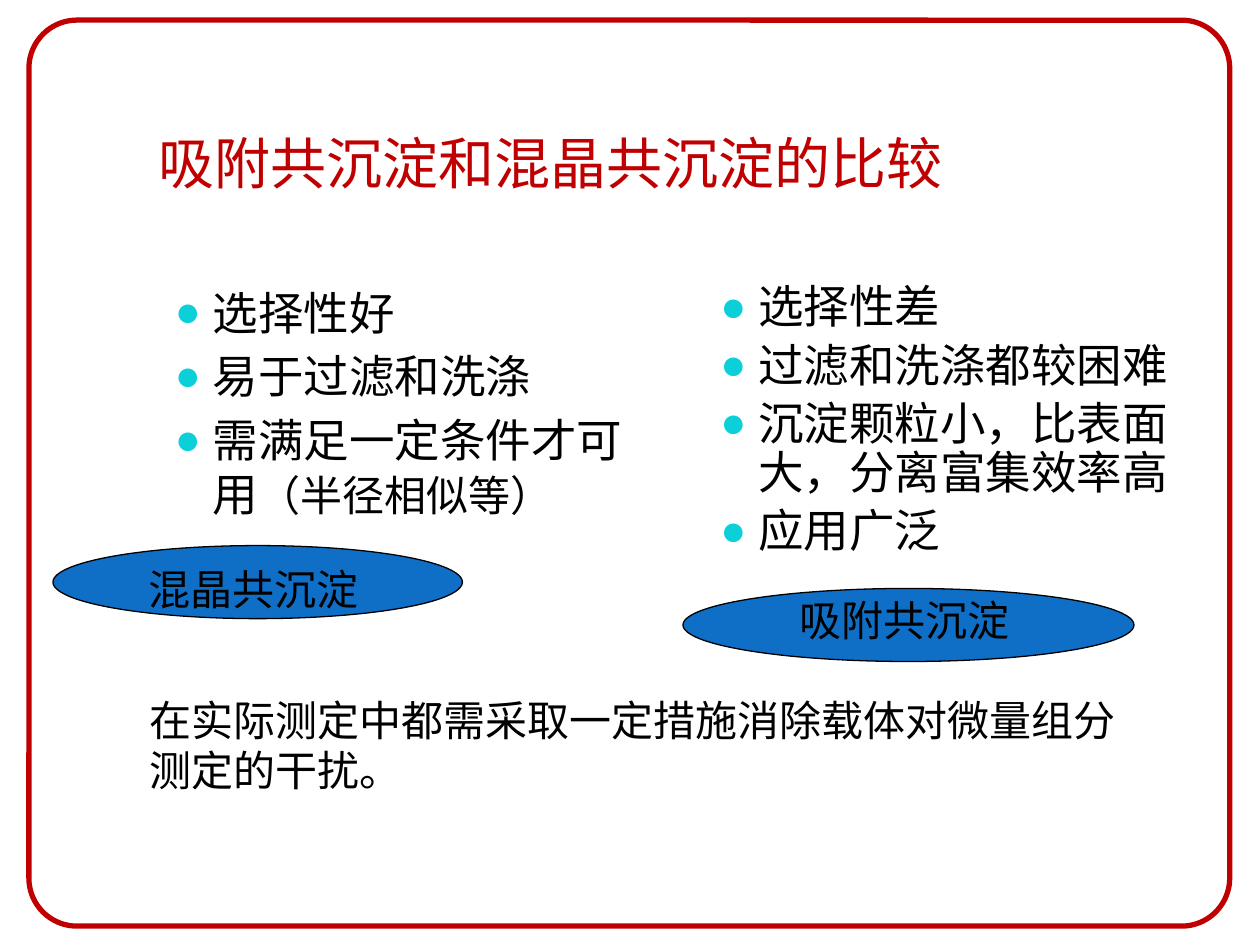
from typing import NamedTuple

from lxml.etree import SubElement
from pptx import Presentation
from pptx.dml.color import RGBColor
from pptx.enum.shapes import MSO_SHAPE as Preset
from pptx.enum.text import MSO_ANCHOR as Anchor, MSO_AUTO_SIZE as AutoSize, PP_ALIGN as Align
from pptx.oxml.ns import qn
from pptx.util import Inches, Pt

COLORS = {"red": "C00000", "black": "000000", "blue": "0F6FC6", "bullet": "0BD0D9"}


class Box(NamedTuple):
    left: float
    top: float
    width: float
    height: float

    def lengths(self) -> list:
        return [Inches(value) for value in self]


class Run(NamedTuple):
    text: str
    size: float


class Column(NamedTuple):
    box: Box
    items: list[list[Run]]
    line_spacing: float


class Method(NamedTuple):
    name: str
    ellipse: Box
    label: Box


COLUMNS = [
    Column(Box(1.29, 2.21, 4.01, 2.58), [
        [Run("选择性好", 26)],
        [Run("易于过滤和洗涤", 26)],
        [Run("需满足一定条件才可用", 26), Run("（半径相似等）", 24)],
    ], 1.0),
    Column(Box(5.62, 2.21, 4.17, 2.5), [
        [Run("选择性差", 26)],
        [Run("过滤和洗涤都较困难", 26)],
        [Run("沉淀颗粒小，比表面大，分离富集效率高", 26)],
        [Run("应用广泛", 26)],
    ], 0.9),
]
METHODS = [
    Method("混晶共沉淀", Box(0.42, 4.33, 3.25, 0.58), Box(1.08, 4.42, 2, 0.5)),
    Method("吸附共沉淀", Box(5.42, 4.67, 3.58, 0.58), Box(6.25, 4.67, 1.92, 0.5)),
]


def rgb(name: str) -> RGBColor:
    return RGBColor.from_string(COLORS[name])


def write(paragraph, text: str, *, size: float, font: str, color: str = "black") -> None:
    run = paragraph.add_run()
    run.text = text
    run.font.size = Pt(size)
    run.font.name = font
    run.font.color.rgb = rgb(color)


def add_bullet(paragraph) -> None:
    """Add a hanging bullet and keep punctuation inside the text box."""
    properties = paragraph._p.get_or_add_pPr()
    properties.set("marL", str(Inches(0.3)))
    properties.set("indent", str(-Inches(0.3)))
    properties.set("hangingPunct", "0")
    bullet_color = SubElement(properties, qn("a:buClr"))
    SubElement(bullet_color, qn("a:srgbClr"), val=COLORS["bullet"])
    SubElement(properties, qn("a:buSzPct"), val="95000")
    SubElement(properties, qn("a:buFont"), typeface="Arial")
    SubElement(properties, qn("a:buChar"), char="●")


def add_text_box(slide, box: Box, auto_size=AutoSize.SHAPE_TO_FIT_TEXT):
    frame = slide.shapes.add_textbox(*box.lengths()).text_frame
    frame.word_wrap = True
    frame.auto_size = auto_size
    return frame


def add_outlined(slide, preset, box: Box, *, line: str, width: float, fill: str | None = None):
    shape = slide.shapes.add_shape(preset, *box.lengths())
    shape.shadow.inherit = False
    if fill:
        shape.fill.solid()
        shape.fill.fore_color.rgb = rgb(fill)
    else:
        shape.fill.background()
    shape.line.color.rgb = rgb(line)
    shape.line.width = Pt(width)
    return shape


def add_title(slide, text: str, box: Box) -> None:
    title = slide.shapes.title
    title.left, title.top, title.width, title.height = box.lengths()
    frame = title.text_frame
    frame.margin_left = frame.margin_right = frame.margin_bottom = 0
    frame.margin_top = Inches(0.05)
    frame.vertical_anchor = Anchor.BOTTOM
    frame.auto_size = AutoSize.NONE
    paragraph = frame.paragraphs[0]
    paragraph.alignment = Align.LEFT
    write(paragraph, text, size=32, font="Roboto", color="red")


def add_column(slide, column: Column) -> None:
    frame = add_text_box(slide, column.box, AutoSize.NONE)
    for index, item in enumerate(column.items):
        paragraph = frame.add_paragraph() if index else frame.paragraphs[0]
        add_bullet(paragraph)
        paragraph.line_spacing = column.line_spacing
        paragraph.space_before = Pt(5.2 if index else 0)
        for run in item:
            write(paragraph, run.text, size=run.size, font="Roboto")


def add_note(slide, text: str, box: Box) -> None:
    frame = add_text_box(slide, box)
    write(frame.paragraphs[0], text, size=24, font="Arial")


def main() -> None:
    presentation = Presentation()
    presentation.slide_width, presentation.slide_height = Inches(10), Inches(7.5)
    slide = presentation.slides.add_slide(presentation.slide_layouts[5])

    border = add_outlined(slide, Preset.ROUNDED_RECTANGLE, Box(0.23, 0.16, 9.53, 7.19),
                          line="red", width=3)
    border.adjustments[0] = 0.053
    add_title(slide, "吸附共沉淀和混晶共沉淀的比较", Box(1.26, 0.68, 8.44, 0.87))
    for column in COLUMNS:
        add_column(slide, column)
    add_note(slide, "在实际测定中都需采取一定措施消除载体对微量组分测定的干扰。",
             Box(1.09, 5.46, 7.92, 0.9))
    for method in METHODS:
        add_outlined(slide, Preset.OVAL, method.ellipse, line="black", width=0.75, fill="blue")
        add_note(slide, method.name, method.label)

    presentation.save("out.pptx")


if __name__ == "__main__":
    main()
